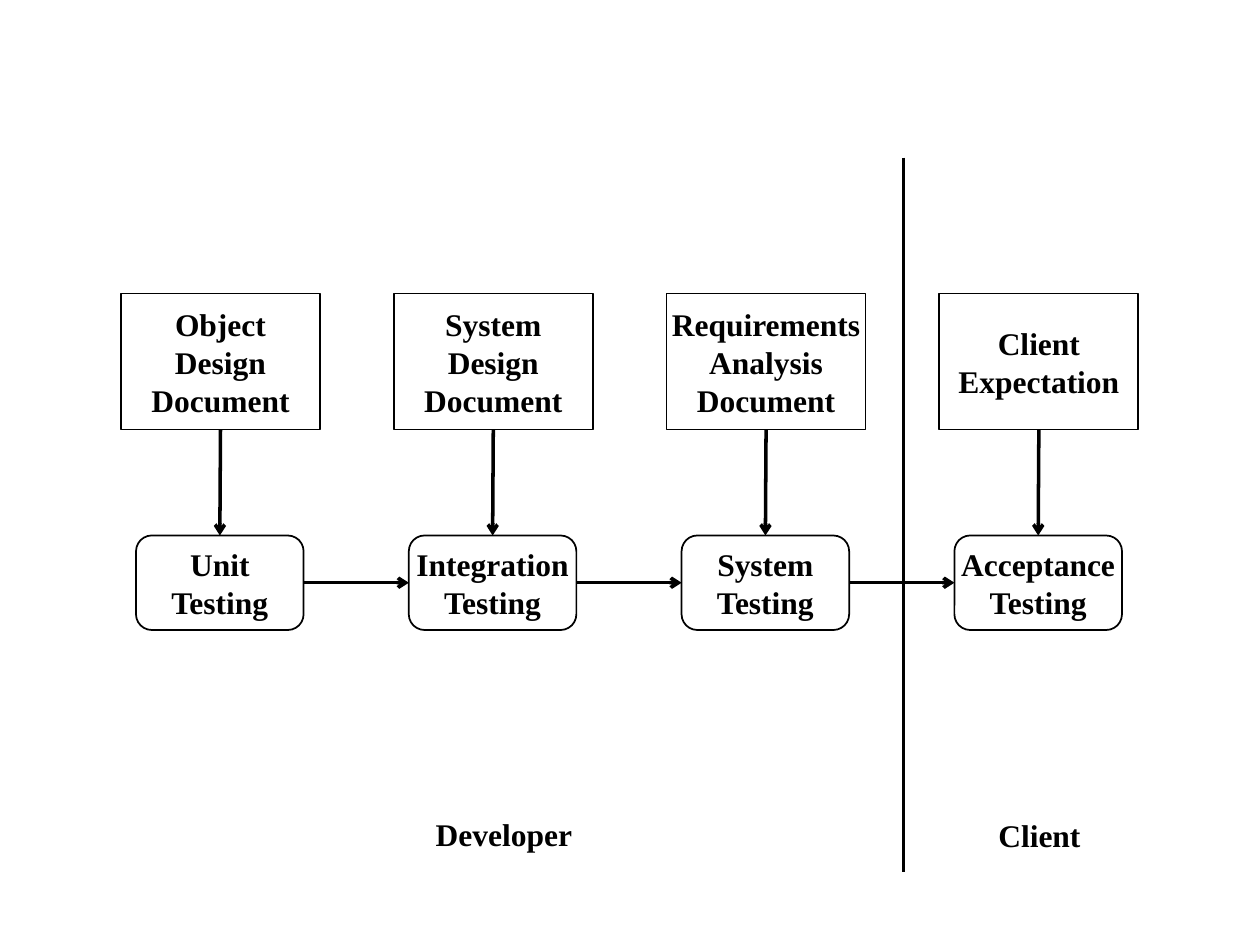
from dataclasses import dataclass

from lxml import etree
from pptx import Presentation
from pptx import util as u
from pptx.dml import color
from pptx.enum import shapes, text
from pptx.oxml import ns


@dataclass(frozen=True)
class Theme:
    ink: color.RGBColor = color.RGBColor(0, 0, 0)
    paper: color.RGBColor = color.RGBColor(255, 255, 255)
    font: str = "Times New Roman"
    size: u.Pt = u.Pt(18)
    thin: u.Pt = u.Pt(1)
    thick: u.Pt = u.Pt(2)


@dataclass(frozen=True)
class Style:
    kind: shapes.MSO_SHAPE
    left: float
    top: float
    width: float
    height: float


@dataclass(frozen=True)
class Stage:
    source: str
    test: str


@dataclass(frozen=True)
class Label:
    words: str
    left: float
    top: float


THEME = Theme()
STEP = 2.165
DOC = Style(shapes.MSO_SHAPE.RECTANGLE, 0.96, 2.33, 1.58, 1.08)
TEST = Style(shapes.MSO_SHAPE.ROUNDED_RECTANGLE, 1.08, 4.25, 1.33, 0.75)
BOTTOM, RIGHT, TOP, LEFT = 2, 3, 0, 1

STAGES = [
    Stage("Object\vDesign\nDocument", "Unit\vTesting"),
    Stage("System\vDesign\nDocument", "Integration\vTesting"),
    Stage("Requirements\vAnalysis\nDocument", "System\vTesting"),
    Stage("Client\nExpectation", "Acceptance\vTesting"),
]
LABELS = [Label("Developer", 3.25, 6.42), Label("Client", 7.5, 6.43)]


def write(shape, words: str, wrap: bool) -> None:
    frame = shape.text_frame
    frame.text = words
    frame.word_wrap = wrap
    frame.vertical_anchor = text.MSO_ANCHOR.MIDDLE
    for para in frame.paragraphs:
        para.alignment = text.PP_ALIGN.CENTER
        para.font.name = THEME.font
        para.font.size = THEME.size
        para.font.bold = True
        para.font.color.rgb = THEME.ink


def add_box(slide, style: Style, col: int, words: str):
    box = slide.shapes.add_shape(
        style.kind, u.Inches(style.left + col * STEP), u.Inches(style.top),
        u.Inches(style.width), u.Inches(style.height))
    box.shadow.inherit = False
    box.fill.solid()
    box.fill.fore_color.rgb = THEME.paper
    box.line.color.rgb = THEME.ink
    box.line.width = THEME.thin
    write(box, words, False)
    return box


def add_line(slide, x: float, top: float, end: float):
    line = slide.shapes.add_connector(
        shapes.MSO_CONNECTOR.STRAIGHT,
        u.Inches(x), u.Inches(top), u.Inches(x), u.Inches(end))
    line.line.color.rgb = THEME.ink
    line.line.width = THEME.thick
    etree.SubElement(line._element.spPr, ns.qn("a:effectLst"))
    return line


def add_arrow(slide, start, exit: int, goal, entry: int) -> None:
    arrow = add_line(slide, 0, 0, 0)
    arrow.begin_connect(start, exit)
    arrow.end_connect(goal, entry)
    etree.SubElement(arrow.line._get_or_add_ln(), ns.qn("a:tailEnd"), type="arrow")


def add_label(slide, label: Label) -> None:
    box = slide.shapes.add_textbox(
        u.Inches(label.left), u.Inches(label.top), u.Inches(1.5), u.Inches(0.4))
    write(box, label.words, True)
    box.text_frame.auto_size = text.MSO_AUTO_SIZE.SHAPE_TO_FIT_TEXT


def main() -> None:
    deck = Presentation()
    deck.slide_width, deck.slide_height = u.Inches(10), u.Inches(7.5)
    slide = deck.slides.add_slide(deck.slide_layouts[6])

    docs = [add_box(slide, DOC, i, s.source) for i, s in enumerate(STAGES)]
    tests = [add_box(slide, TEST, i, s.test) for i, s in enumerate(STAGES)]
    for doc, test in zip(docs, tests):
        add_arrow(slide, doc, BOTTOM, test, TOP)
    for test, follow in zip(tests, tests[1:]):
        add_arrow(slide, test, RIGHT, follow, LEFT)

    add_line(slide, 7.17, 1.25, 6.92)
    for label in LABELS:
        add_label(slide, label)
    deck.save("out.pptx")


if __name__ == "__main__":
    main()
